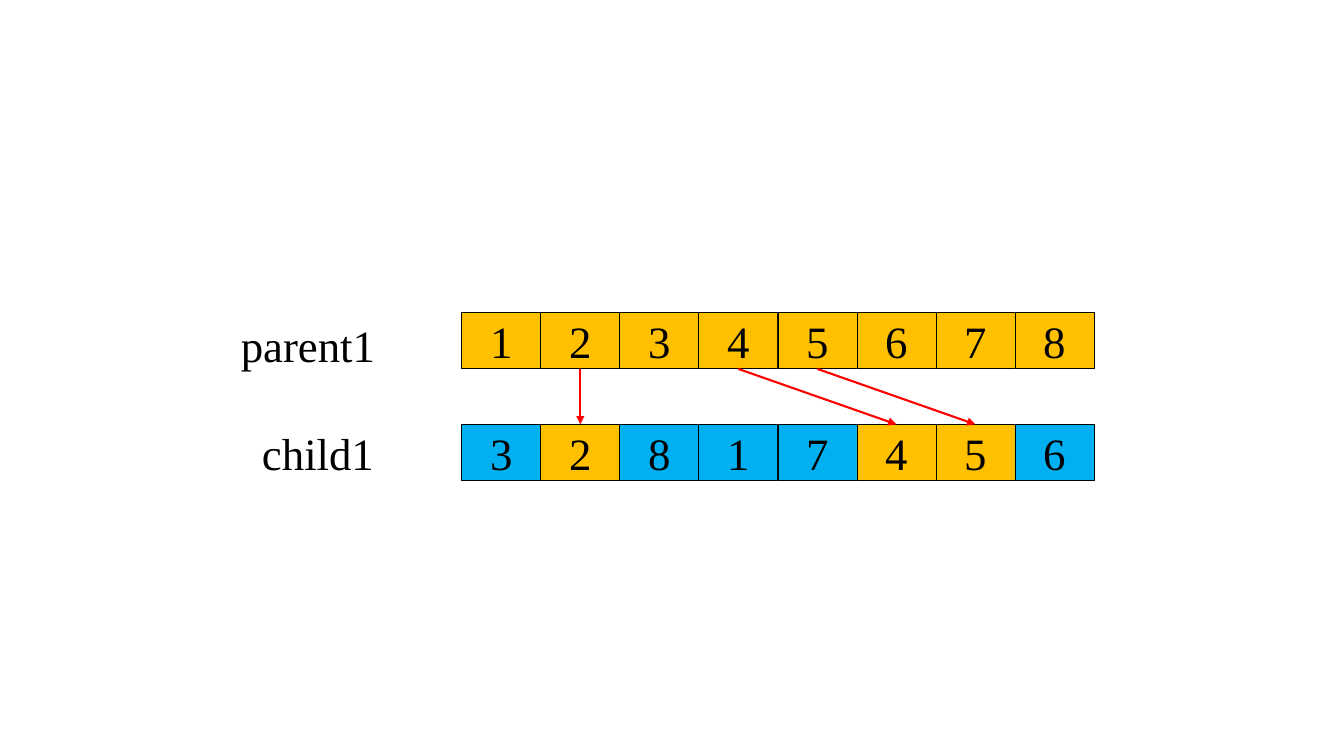
from pptx import Presentation, util as u
from pptx.dml.color import RGBColor
from pptx.enum import shapes, text
from pptx.oxml.ns import qn
from lxml import etree

BLACK = RGBColor(0x00, 0x00, 0x00)
RED = RGBColor(0xFF, 0x00, 0x00)
GOLD = RGBColor(0xFF, 0xC0, 0x00)
BLUE = RGBColor(0x00, 0xB0, 0xF0)

# Gene grid, in inches
GENES_LEFT = 4.58
GENES_WIDTH = 6.27
GENE_HEIGHT = 0.56
PARENT_TOP = 3.1
CHILD_TOP = 4.21

PARENT = "12345678"
CHILD = "32817456"
INHERITED = "245"


def style_text(paragraph):
    paragraph.font.name = "Times New Roman"
    paragraph.font.size = u.Pt(32)
    paragraph.font.color.rgb = BLACK


def add_label(slide, wording, left, top, width, height):
    label = slide.shapes.add_textbox(*map(u.Inches, (left, top, width, height)))
    label.text_frame.word_wrap = False
    label.text_frame.text = wording
    style_text(label.text_frame.paragraphs[0])


def add_chromosome(slide, genes, fills, left, top, width, height):
    """Fill the box with one equal cell per gene; return cells by gene."""
    cells = {}
    pitch = width / len(genes)
    for column, (gene, fill) in enumerate(zip(genes, fills)):
        cell = slide.shapes.add_shape(
            shapes.MSO_SHAPE.RECTANGLE,
            *map(u.Inches, (left + column * pitch, top, pitch, height)))
        cell.shadow.inherit = False
        cell.fill.solid()
        cell.fill.fore_color.rgb = fill
        cell.line.color.rgb = BLACK
        cell.line.width = u.Pt(0.5)
        frame = cell.text_frame
        frame.text = gene
        frame.vertical_anchor = text.MSO_ANCHOR.MIDDLE
        frame.paragraphs[0].alignment = text.PP_ALIGN.CENTER
        style_text(frame.paragraphs[0])
        cells[gene] = cell
    return cells


def add_inheritance(slide, parent_cell, child_cell):
    arrow = slide.shapes.add_connector(shapes.MSO_CONNECTOR.STRAIGHT, 0, 0, 0, 0)
    arrow.begin_connect(parent_cell, 2)
    arrow.end_connect(child_cell, 0)
    arrow.line.color.rgb = RED
    arrow.line.width = u.Pt(1.5)
    etree.SubElement(arrow.line._get_or_add_ln(), qn("a:tailEnd"), type="triangle")
    etree.SubElement(arrow._element.spPr, qn("a:effectLst"))


def main():
    prs = Presentation()
    prs.slide_width, prs.slide_height = u.Inches(13.33), u.Inches(7.5)
    slide = prs.slides.add_slide(prs.slide_layouts[6])

    # Row labels
    add_label(slide, "parent1", 2.29, PARENT_TOP, 1.66, 0.64)
    add_label(slide, "child1", 2.5, 4.17, 1.32, 0.64)

    # Parent and child chromosomes
    parent_cells = add_chromosome(slide, PARENT, [GOLD] * len(PARENT),
                                  GENES_LEFT, PARENT_TOP, GENES_WIDTH, GENE_HEIGHT)
    child_fills = [GOLD if gene in INHERITED else BLUE for gene in CHILD]
    child_cells = add_chromosome(slide, CHILD, child_fills,
                                 GENES_LEFT, CHILD_TOP, GENES_WIDTH, GENE_HEIGHT)

    # Arrows from each inherited gene to its place in the child
    for gene in INHERITED:
        add_inheritance(slide, parent_cells[gene], child_cells[gene])

    prs.save("out.pptx")


if __name__ == "__main__":
    main()
